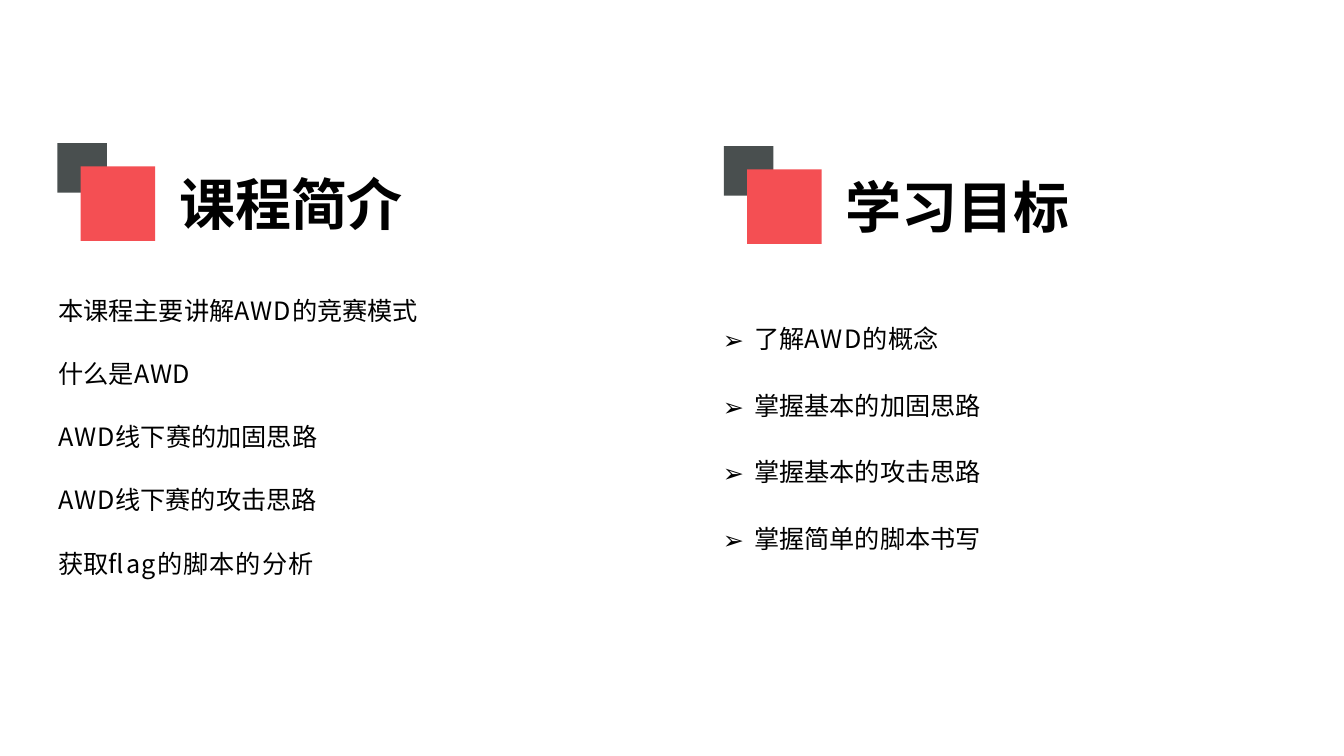
"""Build the course introduction and learning goals slide."""
from dataclasses import dataclass
from typing import Any

import lxml.etree
import pptx
import pptx.dml.color
import pptx.enum.shapes
import pptx.enum.text
import pptx.oxml.ns
import pptx.util

Inches = pptx.util.Inches
Pt = pptx.util.Pt
qn = pptx.oxml.ns.qn
FONT = "Noto Sans CJK SC"
BLACK = pptx.dml.color.RGBColor(0, 0, 0)
GRAY = pptx.dml.color.RGBColor(0x49, 0x4F, 0x4F)
RED = pptx.dml.color.RGBColor(0xF4, 0x4F, 0x53)


@dataclass(frozen=True)
class Run:
    text: str
    track: float = 0


@dataclass(frozen=True)
class Square:
    shift: float
    side: float
    color: pptx.dml.color.RGBColor


@dataclass(frozen=True)
class Head:
    text: str
    left: float
    top: float
    title: bool = False


SQUARES = [Square(0, 0.49, GRAY), Square(0.23, 0.74, RED)]
HEADS = [Head("课程简介", 0.57, 1.42, True), Head("学习目标", 7.18, 1.45)]
INTRO = [
    [Run("本课程", -0.1), Run("主要讲"), Run("解", -0.1),
     Run("AWD", 0.7), Run("的竞赛模式", -0.1)],
    [Run("什么是"), Run("AWD", 0.5)],
    [Run("AWD", 0.6), Run("线下赛的加固思路")],
    [Run("AWD", 0.5), Run("线下赛的攻击思路")],
    [Run("获取"), Run("flag的脚本的分析", 0.8)],
]
GOALS = [
    [Run("了解", -0.1), Run("AW", 0.9), Run("D", 0.8), Run("的概念")],
    [Run("掌握基本的加固思路")],
    [Run("掌握基本的攻击思路")],
    [Run("掌握简单的脚本书写")],
]


def place(shape: Any, left: float, top: float, width: float, height: float) -> Any:
    """Move a text shape, set its margins and return its frame."""
    shape.left, shape.top = Inches(left), Inches(top)
    shape.width, shape.height = Inches(width), Inches(height)
    frame = shape.text_frame
    frame.margin_left = frame.margin_right = frame.margin_bottom = 0
    frame.margin_top = Inches(0.01)
    frame.word_wrap = True
    frame.auto_size = pptx.enum.text.MSO_AUTO_SIZE.NONE
    frame.vertical_anchor = pptx.enum.text.MSO_ANCHOR.TOP
    return frame


def write(para: Any, runs: list[Run], size: float, bold: bool = False) -> None:
    """Fill a paragraph with tracked runs in one font."""
    para.alignment = pptx.enum.text.PP_ALIGN.LEFT
    font = para.font
    font.name, font.size, font.bold = FONT, Pt(size), bold
    font.color.rgb = BLACK
    props = para._p.pPr.find(qn("a:defRPr"))
    lxml.etree.SubElement(props, qn("a:ea"), typeface=FONT)
    for item in runs:
        run = para.add_run()
        run.text = item.text
        run._r.get_or_add_rPr().set("spc", str(round(item.track * 100)))


def bullet(para: Any) -> None:
    """Give a paragraph an arrow bullet with a hanging indent."""
    props = para._p.get_or_add_pPr()
    props.set("marL", str(Inches(0.33)))
    props.set("indent", str(Inches(-0.31)))
    lxml.etree.SubElement(props, qn("a:buFont"), typeface=FONT)
    lxml.etree.SubElement(props, qn("a:buChar"), char="➢")
    tabs = lxml.etree.SubElement(props, qn("a:tabLst"))
    lxml.etree.SubElement(tabs, qn("a:tab"), pos=str(Inches(0.33)), algn="l")


def draw_head(slide: Any, head: Head) -> None:
    """Draw a heading with its two squares."""
    for square in SQUARES:
        shape = slide.shapes.add_shape(
            pptx.enum.shapes.MSO_SHAPE.RECTANGLE,
            Inches(head.left + square.shift), Inches(head.top + square.shift),
            Inches(square.side), Inches(square.side))
        shape.shadow.inherit = False
        shape.fill.solid()
        shape.fill.fore_color.rgb = square.color
        shape.line.fill.background()
    box = slide.shapes.title if head.title else slide.shapes.add_textbox(0, 0, 0, 0)
    frame = place(box, head.left + 1.21, head.top + 0.25, 2.25, 0.69)
    write(frame.paragraphs[0], [Run(head.text, -0.1)], 40, True)


def draw_intro(slide: Any) -> None:
    """Write the course outline."""
    frame = place(slide.shapes.add_textbox(0, 0, 0, 0), 0.58, 2.92, 5.5, 3.49)
    for row, runs in enumerate(INTRO):
        para = frame.add_paragraph() if row else frame.paragraphs[0]
        if row:
            para.space_before = Pt(23.5)
        write(para, runs, 18)


def draw_goals(slide: Any) -> None:
    """Write the learning goals in evenly spaced boxes."""
    for row, runs in enumerate(GOALS):
        box = slide.shapes.add_textbox(0, 0, 0, 0)
        frame = place(box, 7.15, 3.2 + 0.66 * row, 2.59, 0.33)
        bullet(frame.paragraphs[0])
        write(frame.paragraphs[0], runs, 18)


def main() -> None:
    """Build and save the deck."""
    deck = pptx.Presentation()
    deck.slide_width, deck.slide_height = Inches(13.33), Inches(7.5)
    slide = deck.slides.add_slide(deck.slide_layouts[5])
    for head in HEADS:
        draw_head(slide, head)
    draw_intro(slide)
    draw_goals(slide)
    deck.save("out.pptx")


if __name__ == "__main__":
    main()
